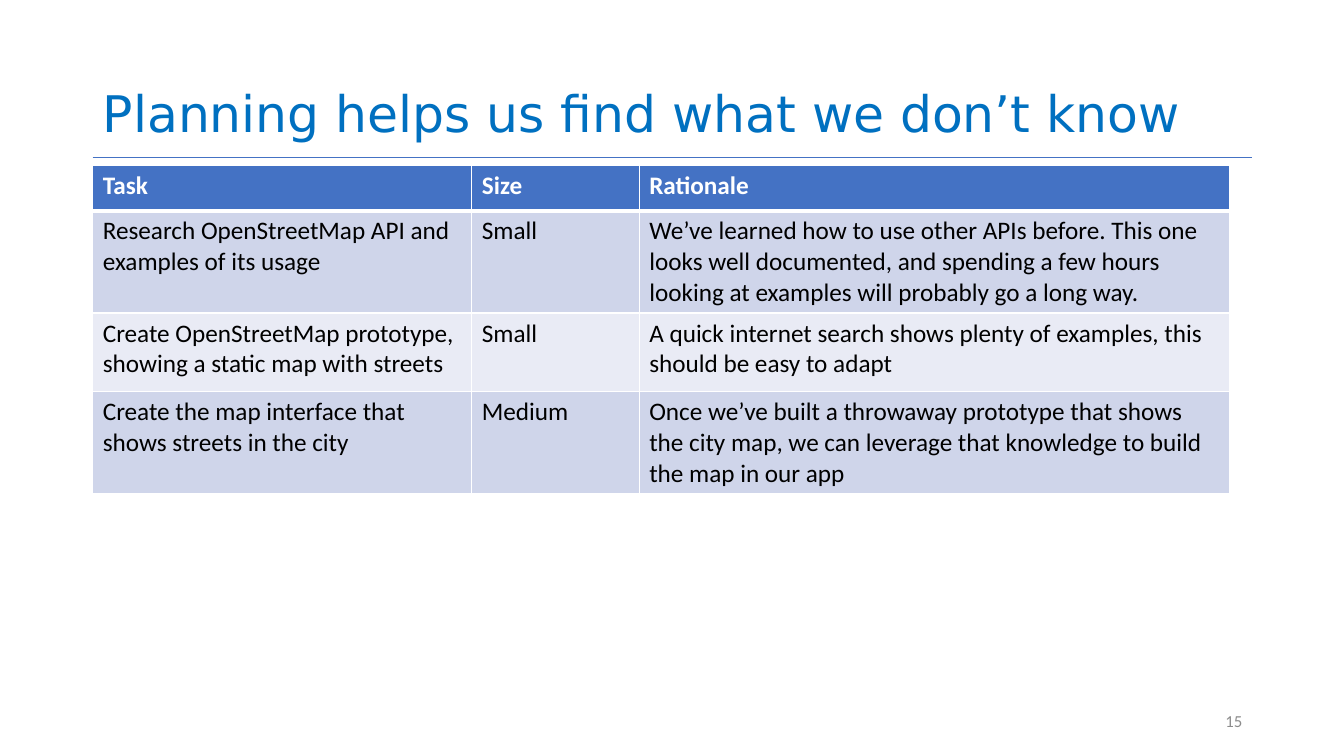
from dataclasses import dataclass

from lxml.etree import SubElement
from pptx import Presentation
from pptx.dml.color import RGBColor as RGB
from pptx.enum.shapes import MSO_CONNECTOR as CONN
from pptx.enum.text import MSO_ANCHOR as ANCHOR, MSO_AUTO_SIZE as AUTO, PP_ALIGN as ALIGN
from pptx.oxml import parse_xml
from pptx.oxml.ns import nsdecls, qn
from pptx.util import Inches, Pt

# Content
TITLE = "Planning helps us find what we don’t know"
PAGE = "15"
TASKS = [
    ("Task", "Size", "Rationale"),
    ("Research OpenStreetMap API and examples of its usage", "Small",
     "We’ve learned how to use other APIs before. This one looks well documented, "
     "and spending a few hours looking at examples will probably go a long way."),
    ("Create OpenStreetMap prototype, showing a static map with streets", "Small",
     "A quick internet search shows plenty of examples, this should be easy to adapt"),
    ("Create the map interface that shows streets in the city", "Medium",
     "Once we’ve built a throwaway prototype that shows the city map, "
     "we can leverage that knowledge to build the map in our app"),
]
COL_WIDTHS = (3.76, 1.66, 5.86)
HEADER_HEIGHT, ROW_HEIGHT = 0.45, 0.78
LEFT, WIDTH = 0.92, 11.5


@dataclass(frozen=True)
class Theme:
    title_font: str = "DejaVu Sans"
    body_font: str = "Calibri"
    title_size: int = 36
    body_size: int = 18
    page_size: int = 12
    title: str = "0070C0"
    accent: str = "4472C4"
    bands: tuple = ("CFD5EA", "E9EBF5")
    white: str = "FFFFFF"
    text: str = "000000"
    page: str = "8C8C8C"


T = Theme()


def add_run(p, text, font, size, color, bold=False):
    r = p.add_run()
    r.text = text
    r.font.name, r.font.size, r.font.bold = font, Pt(size), bold
    r.font.color.rgb = RGB.from_string(color)


def set_borders(cell, bottom):
    """Put white borders ahead of the cell's fill."""
    widths = {"lnL": 1, "lnR": 1, "lnT": 1, "lnB": bottom}
    for i, (side, width) in enumerate(widths.items()):
        cell._tc.get_or_add_tcPr().insert(i, parse_xml(
            f'<a:{side} {nsdecls("a")} w="{Pt(width)}"><a:solidFill>'
            f'<a:srgbClr val="{T.white}"/></a:solidFill></a:{side}>'))


prs = Presentation()
prs.slide_width, prs.slide_height = Inches(13.33), Inches(7.5)
s = prs.slides.add_slide(prs.slide_layouts[5])

# Title
sp = s.shapes.title
sp.left, sp.top, sp.width, sp.height = map(Inches, (LEFT, 0.02, WIDTH, 1.45))
tf = sp.text_frame
tf.word_wrap, tf.auto_size = True, AUTO.NONE
tf.vertical_anchor = ANCHOR.BOTTOM
p = tf.paragraphs[0]
p.alignment, p.line_spacing = ALIGN.LEFT, 0.9
add_run(p, TITLE, T.title_font, T.title_size, T.title)

# Rule under the title
rule = s.shapes.add_connector(CONN.STRAIGHT, Inches(LEFT), Inches(1.56),
                              Inches(LEFT + WIDTH), Inches(1.56))
rule.line.color.rgb = RGB.from_string(T.accent)
rule.line.width = Pt(0.5)
SubElement(rule._element.spPr, qn("a:effectLst"))

# Task table
row_heights = [HEADER_HEIGHT] + [ROW_HEIGHT] * (len(TASKS) - 1)
table = s.shapes.add_table(len(TASKS), len(COL_WIDTHS), Inches(LEFT), Inches(1.64),
                           Inches(sum(COL_WIDTHS)), Inches(sum(row_heights))).table
for col, width in zip(table.columns, COL_WIDTHS):
    col.width = Inches(width)
for i, (texts, height) in enumerate(zip(TASKS, row_heights)):
    table.rows[i].height = Inches(height)
    header = i == 0
    fill = T.accent if header else T.bands[(i - 1) % 2]
    for j, text in enumerate(texts):
        cell = table.cell(i, j)
        cell.fill.solid()
        cell.fill.fore_color.rgb = RGB.from_string(fill)
        set_borders(cell, 3 if header else 1)
        add_run(cell.text_frame.paragraphs[0], text, T.body_font, T.body_size,
                T.white if header else T.text, header)

# Page number
tf = s.shapes.add_textbox(*map(Inches, (9.42, 6.95, 3, 0.4))).text_frame
tf.word_wrap, tf.vertical_anchor = True, ANCHOR.MIDDLE
p = tf.paragraphs[0]
p.alignment = ALIGN.RIGHT
add_run(p, PAGE, T.body_font, T.page_size, T.page)

prs.save("out.pptx")
